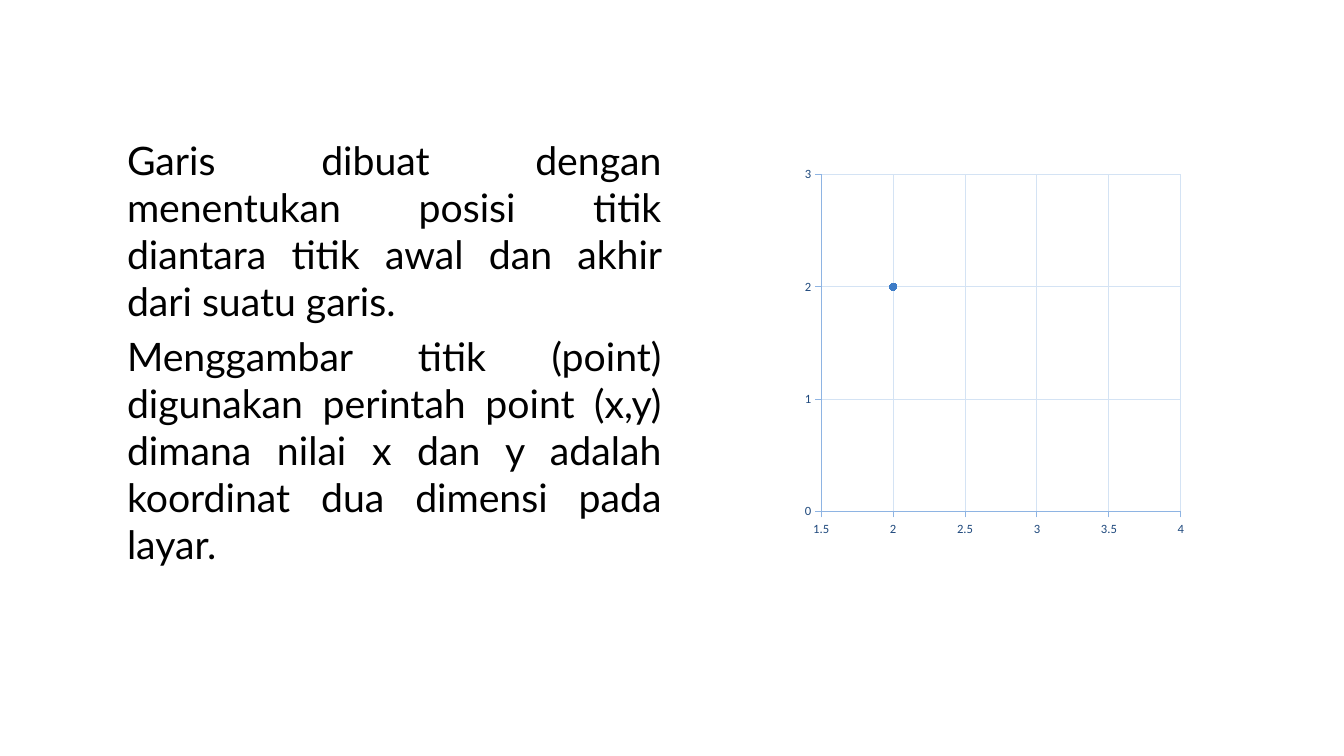
from lxml import etree
from pptx import Presentation
from pptx import util as u
from pptx.chart.data import XyChartData
from pptx.dml.color import RGBColor
from pptx.enum import chart as ch, text
from pptx.oxml.ns import qn

WIDTH, HEIGHT = u.Inches(13.33), u.Inches(7.5)
EXPLANATION = [
    "Garis dibuat dengan menentukan posisi titik diantara titik awal dan akhir dari suatu garis.",
    "Menggambar titik (point) digunakan perintah point (x,y) dimana nilai x dan y adalah "
    "koordinat dua dimensi pada layar.",
]
INK, AXIS_TEXT, AXIS_LINE, GRID, POINT = "000000", "1F497D", "8EB4E3", "D4E3F4", "3D7CC7"


def color(hex_value):
    return RGBColor.from_string(hex_value)


def box(left, top, width, height):
    """Turn inches into a tuple of slide lengths."""
    return tuple(u.Inches(length) for length in (left, top, width, height))


def set_font(font, name, size, hex_value):
    font.name, font.size = name, u.Pt(size)
    font.color.rgb = color(hex_value)


def place_explanation(body, area):
    body.left, body.top, body.width, body.height = area
    frame = body.text_frame
    frame.text = "\n".join(EXPLANATION)
    frame.word_wrap = True
    frame.auto_size = text.MSO_AUTO_SIZE.NONE
    frame.vertical_anchor = text.MSO_ANCHOR.TOP
    frame.margin_left = frame.margin_right = u.Inches(0.1)
    frame.margin_top = frame.margin_bottom = u.Inches(0.1)
    for index, paragraph in enumerate(frame.paragraphs):
        paragraph.alignment = text.PP_ALIGN.JUSTIFY
        paragraph.line_spacing = 1.0
        paragraph.space_before = u.Pt(5.6 if index else 0)
        for run in paragraph.runs:
            set_font(run.font, "Lato", 28, INK)


def format_axis(axis, low, high, step):
    axis.minimum_scale, axis.maximum_scale, axis.major_unit = low, high, step
    axis.crosses = ch.XL_AXIS_CROSSES.MINIMUM
    axis.major_tick_mark = ch.XL_TICK_MARK.OUTSIDE
    axis.minor_tick_mark = ch.XL_TICK_MARK.NONE
    axis.has_major_gridlines = True
    axis.tick_labels.number_format = "General"
    axis.tick_labels.number_format_is_linked = False
    set_font(axis.tick_labels.font, "Calibri", 9, AXIS_TEXT)
    for line, hex_value in ((axis.format.line, AXIS_LINE),
                            (axis.major_gridlines.format.line, GRID)):
        line.width = u.Pt(0.75)
        line.color.rgb = color(hex_value)


def fix_plot_area(chart, **shares):
    """Set the inner plot area as shares of the chart's size."""
    plot_area = chart.plots[0]._element.getparent()
    for old in plot_area.findall(qn("c:layout")):
        plot_area.remove(old)
    layout = etree.Element(qn("c:layout"))
    manual = etree.SubElement(layout, qn("c:manualLayout"))
    settings = {"layoutTarget": "inner", "xMode": "edge", "yMode": "edge", **shares}
    for tag, value in settings.items():
        etree.SubElement(manual, qn(f"c:{tag}")).set("val", str(value))
    plot_area.insert(0, layout)


def place_point_chart(slide, area):
    data = XyChartData()
    data.add_series("Series 1").add_data_point(2, 2)
    chart = slide.shapes.add_chart(ch.XL_CHART_TYPE.XY_SCATTER, *area, data).chart
    chart.has_title = chart.has_legend = False
    set_font(chart.font, "Calibri", 10, INK)
    chart.plots[0].vary_by_categories = False
    format_axis(chart.category_axis, 1.5, 4, 0.5)
    format_axis(chart.value_axis, 0, 3, 1)
    fix_plot_area(chart, x=0.06, y=0.04, w=0.91, h=0.88)

    series = chart.plots[0].series[0]
    series.smooth = False
    series.format.line.fill.background()
    marker = series.marker
    marker.style, marker.size = ch.XL_MARKER_STYLE.CIRCLE, 5
    marker.format.fill.solid()
    marker.format.fill.fore_color.rgb = color(POINT)
    marker.format.line.color.rgb = color(POINT)


def main():
    deck = Presentation()
    deck.slide_width, deck.slide_height = WIDTH, HEIGHT
    slide = deck.slides.add_slide(deck.slide_layouts[0])
    title, body = slide.placeholders
    title.element.getparent().remove(title.element)
    place_explanation(body, box(1.16, 1.25, 5.5, 5))
    place_point_chart(slide, box(7.91, 1.58, 3.92, 3.8))
    deck.save("out.pptx")


if __name__ == "__main__":
    main()
